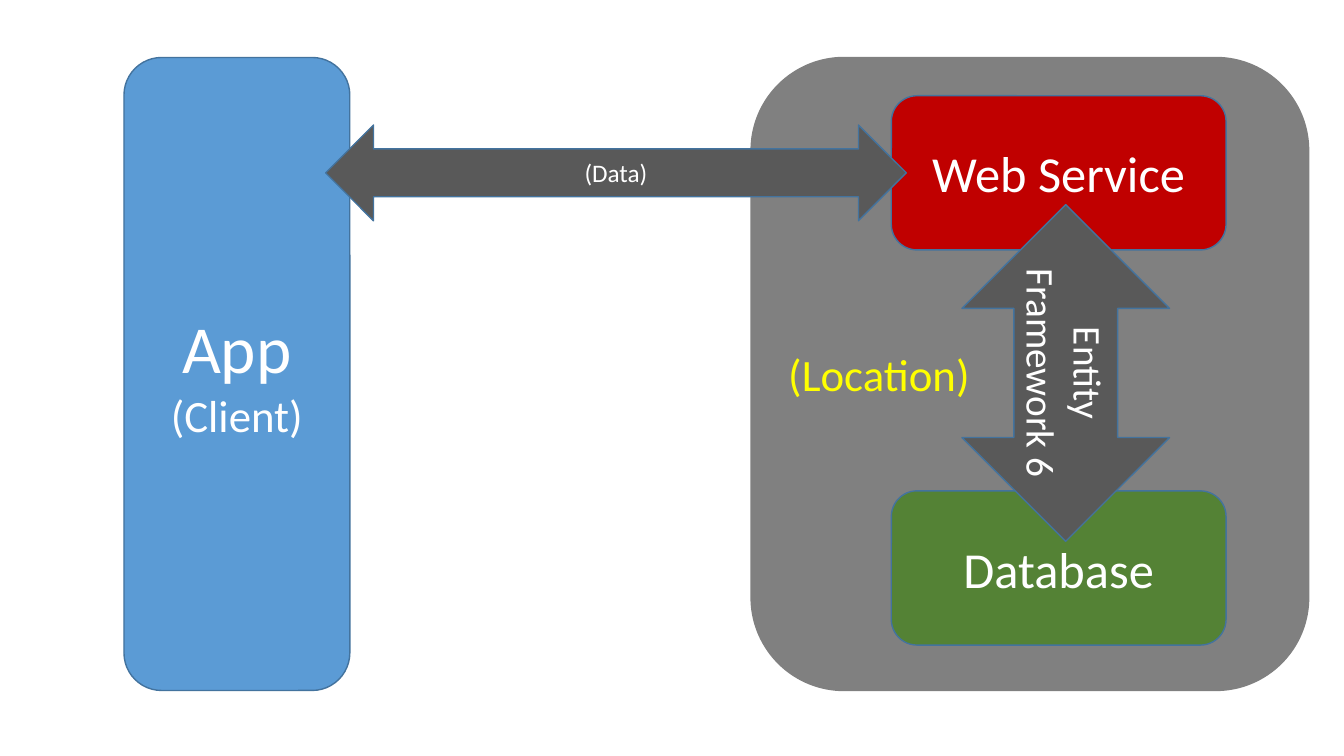
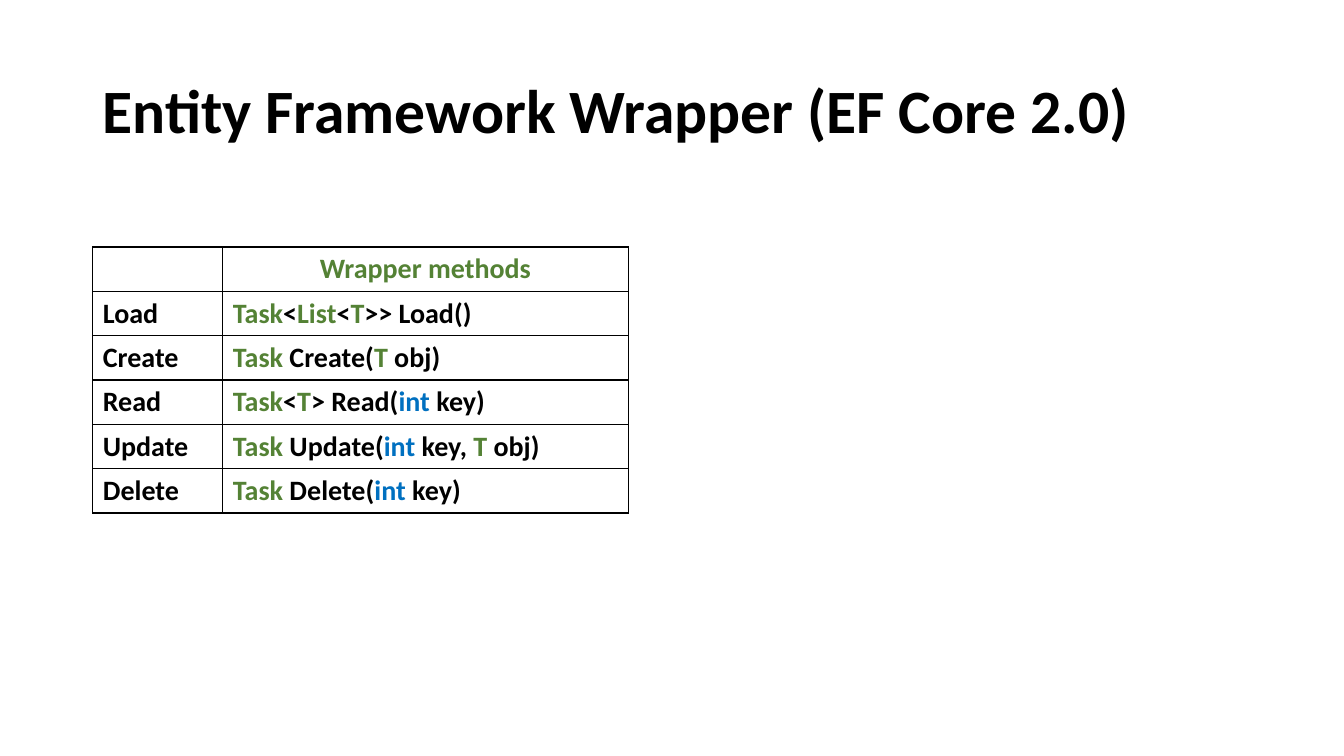
from itertools import groupby

from lxml import etree
from pptx import Presentation
from pptx.dml.color import RGBColor
from pptx.enum import shapes, text
from pptx.oxml import ns
from pptx.util import Inches, Pt

FONT = "Calibri"
BLACK = RGBColor(0x00, 0x00, 0x00)
WHITE = RGBColor(0xFF, 0xFF, 0xFF)
YELLOW = RGBColor(0xFF, 0xFF, 0x00)
GRAY = RGBColor(0x80, 0x80, 0x80)
DARK_GRAY = RGBColor(0x59, 0x59, 0x59)
RED = RGBColor(0xC0, 0x00, 0x00)
GREEN = RGBColor(0x54, 0x82, 0x35)
BLUE = RGBColor(0x00, 0x70, 0xC0)
SKY = RGBColor(0x5B, 0x9B, 0xD5)
OUTLINE = RGBColor(0x43, 0x73, 0x9E)

ROUNDED = shapes.MSO_SHAPE.ROUNDED_RECTANGLE
ARROW = shapes.MSO_SHAPE.LEFT_RIGHT_ARROW
LEFT, CENTER = text.PP_ALIGN.LEFT, text.PP_ALIGN.CENTER
SYNTAX = {"Task": GREEN, "List": GREEN, "T": GREEN, "int": BLUE}

METHODS = [
    ("Load", "Task<List<T>> Load()"),
    ("Create", "Task Create(T obj)"),
    ("Read", "Task<T> Read(int key)"),
    ("Update", "Task Update(int key, T obj)"),
    ("Delete", "Task Delete(int key)"),
]


def write(para, words, size, color=BLACK, bold=False, align=LEFT):
    para.alignment = align
    span = para.add_run()
    span.text = words
    span.font.name = FONT
    span.font.size = Pt(size)
    span.font.bold = bold
    span.font.color.rgb = color


def highlight(signature):
    """Split a method signature into (text, colour) pieces."""
    words = ["".join(letters) for _, letters in groupby(signature, str.isalpha)]
    for color, piece in groupby(words, lambda word: SYNTAX.get(word, BLACK)):
        yield "".join(piece), color


def add_borders(cell, color=BLACK, width=1):
    properties = cell._tc.get_or_add_tcPr()
    for index, side in enumerate(("lnL", "lnR", "lnT", "lnB")):
        line = etree.Element(ns.qn(f"a:{side}"), w=str(Pt(width)))
        fill = etree.SubElement(line, ns.qn("a:solidFill"))
        etree.SubElement(fill, ns.qn("a:srgbClr"), val=str(color))
        properties.insert(index, line)


class SlideBuilder:
    def __init__(self):
        self.deck = Presentation()
        self.deck.slide_width = Inches(13.33)
        self.deck.slide_height = Inches(7.5)
        self.page = None

    def new_page(self):
        self.page = self.deck.slides.add_slide(self.deck.slide_layouts[6])

    def title(self, words):
        box = self.page.shapes.add_textbox(
            Inches(0.92), Inches(0.4), Inches(11.5), Inches(1.45))
        frame = box.text_frame
        frame.word_wrap = True
        frame.vertical_anchor = text.MSO_ANCHOR.MIDDLE
        frame.paragraphs[0].line_spacing = 0.9
        write(frame.paragraphs[0], words, 44, bold=True)

    def block(self, kind, place, fill, *lines, line=OUTLINE, color=WHITE,
              align=CENTER, rotation=0):
        """Add a filled shape; each of lines is (text, size)."""
        shape = self.page.shapes.add_shape(kind, *map(Inches, place))
        shape.shadow.inherit = False
        shape.rotation = rotation
        shape.fill.solid()
        shape.fill.fore_color.rgb = fill
        shape.line.color.rgb = line
        shape.line.width = Pt(1)
        frame = shape.text_frame
        frame.word_wrap = True
        frame.vertical_anchor = text.MSO_ANCHOR.MIDDLE
        for index, (words, size) in enumerate(lines):
            para = frame.add_paragraph() if index else frame.paragraphs[0]
            write(para, words, size, color, align=align)

    def method_table(self, left, top, widths, row_height, header, methods):
        count = len(methods) + 1
        table = self.page.shapes.add_table(
            count, len(widths), Inches(left), Inches(top),
            Inches(sum(widths)), Inches(row_height * count)).table
        table.first_row = table.horz_banding = False
        for column, width in zip(table.columns, widths):
            column.width = Inches(width)
        for row in table.rows:
            row.height = Inches(row_height)
        for cell in table.iter_cells():
            cell.fill.background()
            add_borders(cell)

        def first_para(row, column):
            return table.cell(row, column).text_frame.paragraphs[0]

        write(first_para(0, 1), header, 20, GREEN, bold=True, align=CENTER)
        for row, (name, signature) in enumerate(methods, 1):
            write(first_para(row, 0), name, 20, bold=True)
            for piece, color in highlight(signature):
                write(first_para(row, 1), piece, 20, color, bold=True)


def architecture_slide(builder):
    builder.new_page()
    builder.block(ROUNDED, (7.45, 0.57, 5.53, 6.28), GRAY, ("(Location)", 32),
                  line=GRAY, color=YELLOW, align=LEFT)
    builder.block(ROUNDED, (8.84, 0.95, 3.32, 1.53), RED, ("Web Service", 36))
    builder.block(ROUNDED, (1.23, 0.57, 2.24, 6.28), SKY,
                  ("App", 48), ("(Client)", 32))
    builder.block(ARROW, (3.23, 1.24, 5.76, 0.95), DARK_GRAY, ("(Data)", 18))
    builder.block(ROUNDED, (8.84, 4.87, 3.32, 1.53), GREEN, ("Database", 36))
    builder.block(ARROW, (8.9, 2.67, 3.34, 2.06), DARK_GRAY,
                  ("Entity Framework 6", 28), rotation=90)


def wrapper_slide(builder):
    builder.new_page()
    builder.title("Entity Framework Wrapper (EF Core 2.0)")
    builder.method_table(0.92, 2.45, (1.29, 4.02), 0.44,
                         "Wrapper methods", METHODS)


def main():
    builder = SlideBuilder()
    architecture_slide(builder)
    wrapper_slide(builder)
    builder.deck.save("out.pptx")


if __name__ == "__main__":
    main()
